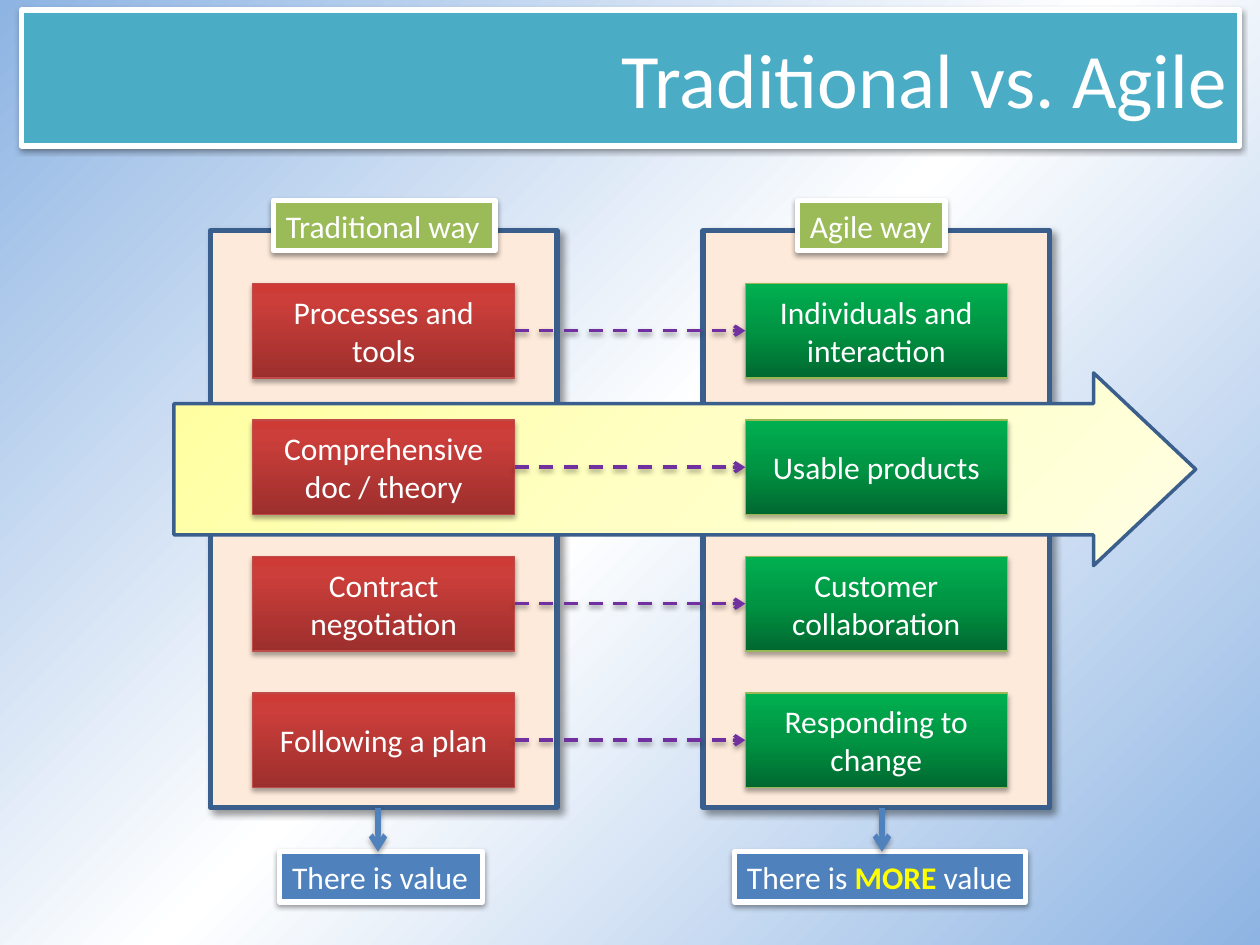
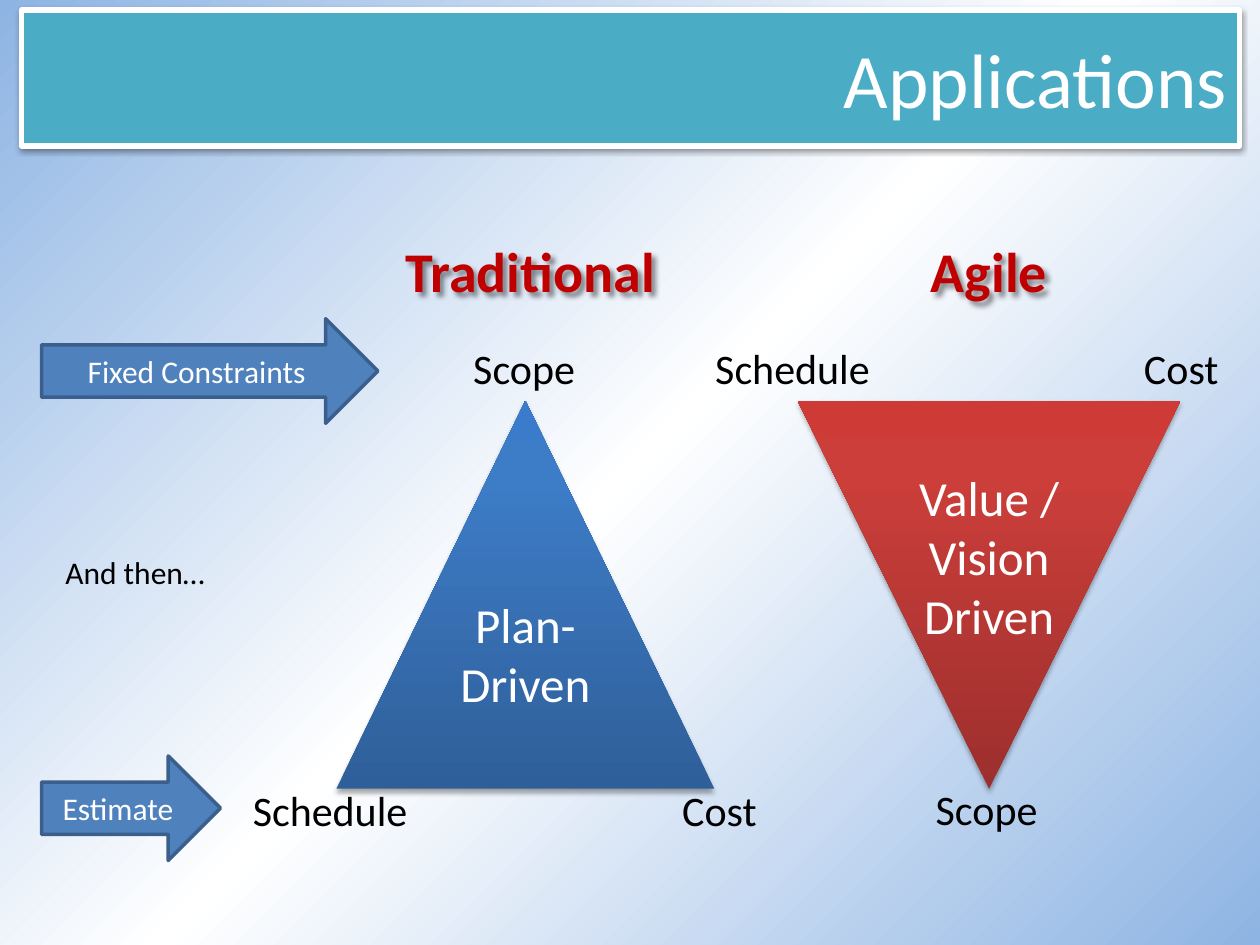
from lxml.etree import Element, SubElement
from pptx import Presentation
from pptx.dml.color import RGBColor
from pptx.enum.dml import MSO_LINE
from pptx.enum.shapes import MSO_CONNECTOR, MSO_SHAPE as SHAPE
from pptx.enum.text import MSO_ANCHOR as ANCHOR, PP_ALIGN as ALIGN
from pptx.oxml.ns import qn
from pptx.util import Inches, Pt

FONT = "Calibri"
WHITE, BLACK, BLUE, NAVY = "FFFFFF", "000000", "4F81BD", "3A5F8C"
LIME, PEACH, PURPLE, CRIMSON, YELLOW = "9BBB59", "FDEADA", "7030A0", "C00000", "FFFF00"
SKY = [(0, "8EB4E3"), (50, WHITE), (100, "8EB4E3")]
GREEN = [(0, "00682F"), (50, "009443"), (100, "00B050")]
RED = [(0, "9C2F2D"), (80, "CB3E3A"), (100, "CE3B37")]
AZURE = [(0, "2F5F99"), (80, "3D7CC7"), (100, "3A7CCB")]
CREAM = [(0, "FFFFA0"), (50, "FFFFC5"), (100, "FFFFE3")]

# (opacity %, blur pt, distance pt, direction in degrees)
SOFT, FIRM, DIAGONAL, TEXT_GLOW = (35, 3.1, 1.8, 90), (38, 3.1, 1.6, 90), (40, 4, 3, 45), (43, 3, 3, 45)

TITLE_STYLE = [("lnRef", "3", "lt1"), ("fillRef", "1", "accent5"),
               ("effectRef", "1", "accent5"), ("fontRef", "minor", "lt1")]

PANEL_TOP, PANEL_W, PANEL_H = 1.83, 2.75, 4.58
BOX_TOP, BOX_LAST, BOX_W, BOX_H = 2.25, 5.5, 2.08, 0.75
TAG_TOP, VALUE_TOP, TAG_H = 1.59, 6.76, 0.4

COLUMNS = [
    dict(left=1.67, fill=RED, edge="BF4C48", tag=("Traditional way", 2.17, 1.76),
         value=("There is value", 2.22, 1.61), arrow=3,
         items=["Processes and tools", "Comprehensive doc / theory",
                "Contract negotiation", "Following a plan"]),
    dict(left=5.58, fill=GREEN, edge="98B955", tag=("Agile way", 6.33, 1.17),
         value=([("There is ", {}), ("MORE", dict(color=YELLOW, bold=True)), (" value", {})], 5.83, 2.31),
         arrow=7,
         items=["Individuals and interaction", "Usable products",
                "Customer collaboration", "Responding to change"]),
]

TRIANGLES = [
    ("Plan-Driven", SHAPE.ISOSCELES_TRIANGLE, (2.67, 3.18, 3, 3.08), AZURE, 0),
    ("Value / Vision Driven", SHAPE.FLOWCHART_MERGE, (6.33, 3.18, 3.04, 3.08), RED, 0.53),
]
STEPS = [("Fixed Constraints", (0.33, 2.53, 2.67, 0.83)), ("Estimate", (0.33, 6, 1.42, 0.83))]
HEADINGS = [("Traditional", (3, 1.83, 2.42, 0.64)), ("Agile", (6.81, 1.83, 2.08, 0.64))]
CORNERS = [
    ("Scope", (3.62, 2.67, 1.08, 0.5)), ("Schedule", (1.83, 6.18, 1.58, 0.5)),
    ("Cost", (5, 6.18, 1.42, 0.5)), ("Scope", (7.29, 6.17, 1.08, 0.5)),
    ("Schedule", (5.5, 2.67, 1.58, 0.5)), ("Cost", (8.75, 2.67, 1.25, 0.5)),
]


def rgb(value):
    """Turn a hex string into a colour."""
    return RGBColor.from_string(value)


def write(s, text, size=18, color=WHITE, bold=False, align=ALIGN.CENTER,
          anchor=ANCHOR.MIDDLE, wrap=True, top=0.05):
    """Fill a shape with one paragraph, given as text or as (text, format) runs."""
    tf = s.text_frame
    tf.word_wrap, tf.vertical_anchor, tf.margin_top = wrap, anchor, Inches(top)
    p = tf.paragraphs[0]
    p.alignment = align
    for part, own in [(text, {})] if isinstance(text, str) else text:
        r = p.add_run()
        r.text = part
        r.font.name, r.font.size = FONT, Pt(size)
        r.font.bold = own.get("bold", bold)
        r.font.color.rgb = rgb(own.get("color", color))


def blend(fill, root, stops, angle):
    """Give a fill gradient stops and a clockwise angle."""
    fill.gradient()
    fill.gradient_angle = (360 - angle) % 360
    stop_list = next(root.iter(qn("a:gsLst")))
    for old in list(stop_list):
        stop_list.remove(old)
    for pos, color in stops:
        stop = SubElement(stop_list, qn("a:gs"), pos=str(pos * 1000))
        SubElement(stop, qn("a:srgbClr"), val=color)


def cast(s, shadow):
    """Set an outer shadow, or none."""
    sp_pr = s._element.spPr
    effects = sp_pr.find(qn("a:effectLst"))
    if effects is None:
        effects = SubElement(sp_pr, qn("a:effectLst"))
    if shadow:
        alpha, blur, dist, angle = shadow
        outer = SubElement(effects, qn("a:outerShdw"), blurRad=str(Pt(blur)), dist=str(Pt(dist)),
                           dir=str(angle * 60000), algn="ctr", rotWithShape="0")
        color = SubElement(outer, qn("a:srgbClr"), val=BLACK)
        SubElement(color, qn("a:alpha"), val=str(alpha * 1000))


def shape(slide, kind, at, fill, edge=None, width=1, shadow=None, angle=270):
    """Add a preset shape with a plain or gradient fill."""
    s = slide.shapes.add_shape(kind, *map(Inches, at))
    s.shadow.inherit = False
    if isinstance(fill, str):
        s.fill.solid()
        s.fill.fore_color.rgb = rgb(fill)
    else:
        blend(s.fill, s._element.spPr, fill, angle)
    if edge:
        s.line.color.rgb, s.line.width = rgb(edge), Pt(width)
    else:
        s.line.fill.background()
    cast(s, shadow)
    return s


def arrow(slide, start, end, color, width, shadow, dash=None):
    """Add a straight connector with an open arrowhead."""
    s = slide.shapes.add_connector(MSO_CONNECTOR.STRAIGHT, *map(Inches, start + end))
    s.line.color.rgb, s.line.width = rgb(color), Pt(width)
    if dash:
        s.line.dash_style = dash
    SubElement(s.line._get_or_add_ln(), qn("a:tailEnd"), type="arrow")
    cast(s, shadow)


def label(slide, text, at, shadow=None, **style):
    """Add a text box."""
    s = slide.shapes.add_textbox(*map(Inches, at))
    write(s, text, anchor=ANCHOR.TOP, **style)
    if shadow:
        cast(s, shadow)


def tag(slide, text, left, top, width, fill):
    """Add a framed caption."""
    s = shape(slide, SHAPE.RECTANGLE, (left, top, width, TAG_H), fill, WHITE, 3, FIRM)
    write(s, text, align=ALIGN.LEFT, anchor=ANCHOR.TOP, wrap=False)


def new_slide(prs, title):
    """Add a slide with a right-aligned title in the theme's band style."""
    slide = prs.slides.add_slide(prs.slide_layouts[5])
    s = slide.shapes.title
    s.left, s.top, s.width, s.height = map(Inches, (0.17, 0.08, 9.67, 1.08))
    style = Element(qn("p:style"))
    for ref, idx, color in TITLE_STYLE:
        SubElement(SubElement(style, qn("a:" + ref), idx=idx), qn("a:schemeClr"), val=color)
    s._element.spPr.addnext(style)
    write(s, title, size=44, align=ALIGN.RIGHT)
    return slide


def comparison(prs):
    """Build the slide that sets the two ways side by side."""
    slide = new_slide(prs, "Traditional vs. Agile")
    for col in COLUMNS:
        shape(slide, SHAPE.RECTANGLE, (col["left"], PANEL_TOP, PANEL_W, PANEL_H), PEACH, NAVY, 3, DIAGONAL)
    band = shape(slide, SHAPE.RIGHT_ARROW, (1.38, 2.96, 8.11, 1.53), CREAM, NAVY, 2, angle=45)
    band.adjustments[0], band.adjustments[1] = 0.68, 0.53

    inset = (PANEL_W - BOX_W) / 2
    pitch = (BOX_LAST - BOX_TOP) / (len(COLUMNS[0]["items"]) - 1)
    bottom = PANEL_TOP + PANEL_H
    for col in COLUMNS:
        for i, item in enumerate(col["items"]):
            at = (col["left"] + inset, BOX_TOP + i * pitch, BOX_W, BOX_H)
            write(shape(slide, SHAPE.RECTANGLE, at, col["fill"], col["edge"], 0.75, SOFT), item)
        for (text, left, width), top, fill in ((col["tag"], TAG_TOP, LIME), (col["value"], VALUE_TOP, BLUE)):
            tag(slide, text, left, top, width, fill)
        arrow(slide, (col["arrow"], bottom), (col["arrow"], VALUE_TOP), BLUE, 3, SOFT)

    start, end = COLUMNS[0]["left"] + inset + BOX_W, COLUMNS[1]["left"] + inset
    for i in range(len(COLUMNS[0]["items"])):
        y = BOX_TOP + i * pitch + BOX_H / 2
        arrow(slide, (start, y), (end, y), PURPLE, 2, FIRM, MSO_LINE.DASH)


def applications(prs):
    """Build the slide with the two constraint triangles."""
    slide = new_slide(prs, "Applications")
    for text, kind, at, fill, top in TRIANGLES:
        s = shape(slide, kind, at, fill, shadow=SOFT)
        write(s, text, size=28, anchor=ANCHOR.TOP, top=top)
    for text, at in STEPS:
        write(shape(slide, SHAPE.RIGHT_ARROW, at, BLUE, NAVY, 2), text)
    label(slide, "And then…", (0.42, 4.34, 1.58, 0.4), color=BLACK, align=ALIGN.LEFT)
    for text, at in CORNERS:
        label(slide, text, at, size=24, color=BLACK)
    for text, at in HEADINGS:
        label(slide, text, at, TEXT_GLOW, size=32, color=CRIMSON, bold=True)


def main():
    """Build and save the presentation."""
    prs = Presentation()
    prs.slide_width, prs.slide_height = Inches(10), Inches(7.5)
    master = prs.slide_master
    blend(master.background.fill, master.element, SKY, 45)
    comparison(prs)
    applications(prs)
    prs.save("out.pptx")


if __name__ == "__main__":
    main()
